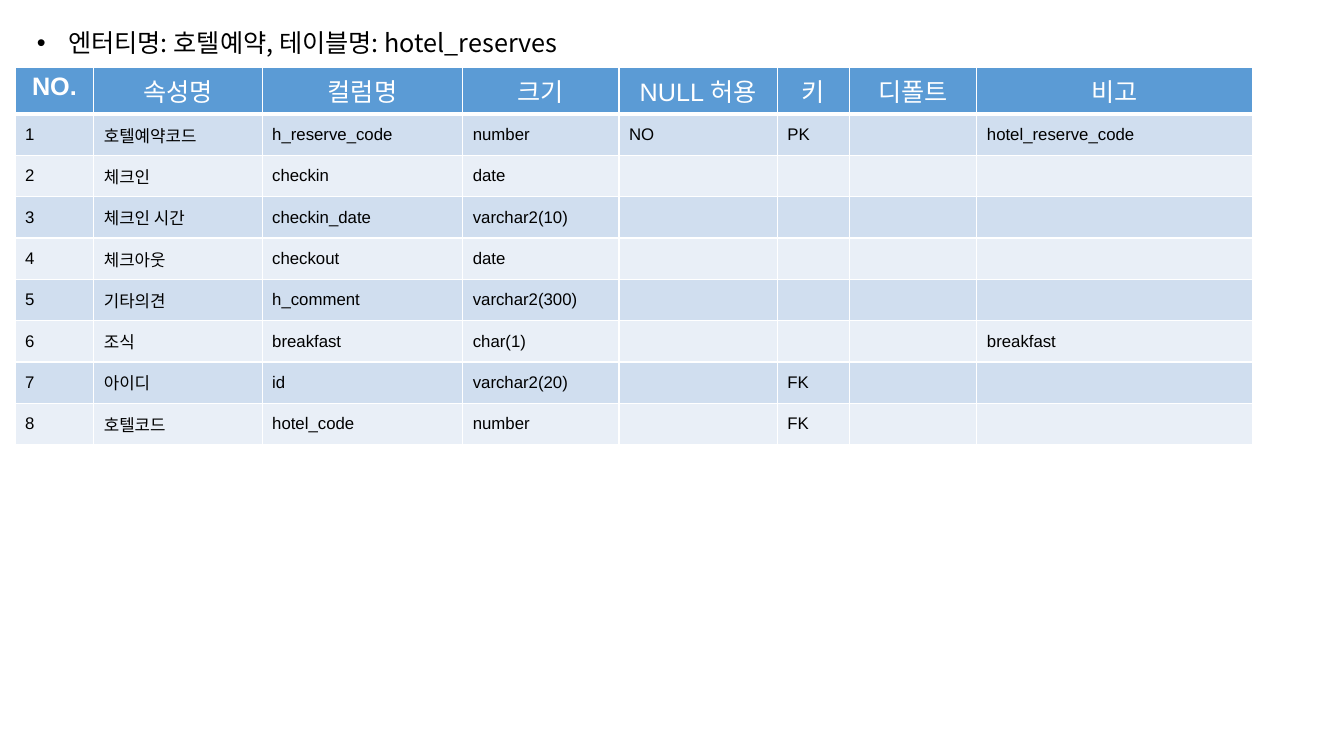
from lxml.etree import SubElement
from pptx import Presentation
from pptx.dml.color import RGBColor
from pptx.enum.text import MSO_ANCHOR, MSO_AUTO_SIZE, PP_ALIGN
from pptx.oxml import parse_xml
from pptx.oxml.ns import nsdecls, qn
from pptx.util import Inches, Pt

WIDTH, HEIGHT = Inches(13.33), Inches(7.5)
WHITE = RGBColor(0xFF, 0xFF, 0xFF)
BLACK = RGBColor(0x00, 0x00, 0x00)
BLUE = RGBColor(0x5B, 0x9B, 0xD5)
BANDS = (RGBColor(0xD0, 0xDE, 0xEF), RGBColor(0xE9, 0xEF, 0xF7))
LATIN, KOREAN = "Arial", "Noto Sans CJK KR"

# Table grid in inches
LEFT, TOP, ROW = 0.15, 0.67, 0.41
COLS = (0.78, 1.67, 1.99, 1.55, 1.57, 0.72, 1.26, 2.73)

HEADS = ("NO.", "속성명", "컬럼명", "크기", "NULL 허용", "키", "디폴트", "비고")
FIELDS = (
    ("호텔예약코드", "h_reserve_code", "number", "NO", "PK", "", "hotel_reserve_code"),
    ("체크인", "checkin", "date", "", "", "", ""),
    ("체크인 시간", "checkin_date", "varchar2(10)", "", "", "", ""),
    ("체크아웃", "checkout", "date", "", "", "", ""),
    ("기타의견", "h_comment", "varchar2(300)", "", "", "", ""),
    ("조식", "breakfast", "char(1)", "", "", "", "breakfast"),
    ("아이디", "id", "varchar2(20)", "", "FK", "", ""),
    ("호텔코드", "hotel_code", "number", "", "FK", "", ""),
)


def add_run(para, text, size, color, font=LATIN, bold=False):
    run = para.add_run()
    run.text = text
    run.font.size = Pt(size)
    run.font.bold = bold
    run.font.name = font
    run.font.color.rgb = color
    SubElement(run.font._element, qn("a:ea"), typeface=KOREAN)


def add_bullet(para, indent):
    props = para._p.get_or_add_pPr()
    props.set("marL", str(indent))
    props.set("indent", str(-indent))
    color = SubElement(props, qn("a:buClr"))
    SubElement(color, qn("a:srgbClr"), val=str(BLACK))
    SubElement(props, qn("a:buFont"), typeface=LATIN)
    SubElement(props, qn("a:buChar"), char="•")


def set_title(title, text):
    title.left, title.top = int(WIDTH * 0.02), int(HEIGHT * 0.03)
    title.width, title.height = int(WIDTH * 0.485), int(HEIGHT * 0.054)
    frame = title.text_frame
    frame.word_wrap = True
    frame.auto_size = MSO_AUTO_SIZE.NONE
    frame.vertical_anchor = MSO_ANCHOR.TOP
    para = frame.paragraphs[0]
    para.alignment = PP_ALIGN.LEFT
    para.line_spacing = 1.0
    para.space_before = Pt(0)
    add_bullet(para, Inches(0.31))
    add_run(para, text, 18, BLACK, KOREAN)


def set_edges(cell, top, bottom):
    widths = {"lnL": 1, "lnR": 1, "lnT": top, "lnB": bottom}
    props = cell._tc.get_or_add_tcPr()
    for place, (side, width) in enumerate(widths.items()):
        props.insert(place, parse_xml(
            f'<a:{side} {nsdecls("a")} w="{Pt(width)}"><a:solidFill>'
            f'<a:srgbClr val="{WHITE}"/></a:solidFill></a:{side}>'))


def fill_cell(cell, text, row, col):
    head = row == 0
    cell.fill.solid()
    cell.fill.fore_color.rgb = BLUE if head else BANDS[(row - 1) % 2]
    set_edges(cell, top=3 if row == 1 else 1, bottom=3 if head else 1)
    cell.vertical_anchor = MSO_ANCHOR.TOP if head else MSO_ANCHOR.MIDDLE
    para = cell.text_frame.paragraphs[0]
    para.alignment = PP_ALIGN.CENTER if head else PP_ALIGN.LEFT
    if text:
        add_run(para, text, 18 if head else 12, WHITE if head else BLACK,
                bold=head and col == 0)


def add_grid(slide, rows):
    frame = slide.shapes.add_table(
        len(rows), len(COLS), Inches(LEFT), Inches(TOP),
        Inches(sum(COLS)), Inches(ROW * len(rows)))
    table = frame.table
    for col, width in zip(table.columns, COLS):
        col.width = Inches(width)
    for i, texts in enumerate(rows):
        table.rows[i].height = Inches(ROW)
        for j, text in enumerate(texts):
            fill_cell(table.cell(i, j), text, i, j)


def main():
    deck = Presentation()
    deck.slide_width, deck.slide_height = WIDTH, HEIGHT
    slide = deck.slides.add_slide(deck.slide_layouts[5])

    # Heading
    set_title(slide.shapes.title, "엔터티명: 호텔예약, 테이블명: hotel_reserves")

    # Field list, numbered from 1
    rows = [(str(n), *field) for n, field in enumerate(FIELDS, 1)]
    add_grid(slide, [HEADS, *rows])

    deck.save("out.pptx")


if __name__ == "__main__":
    main()
